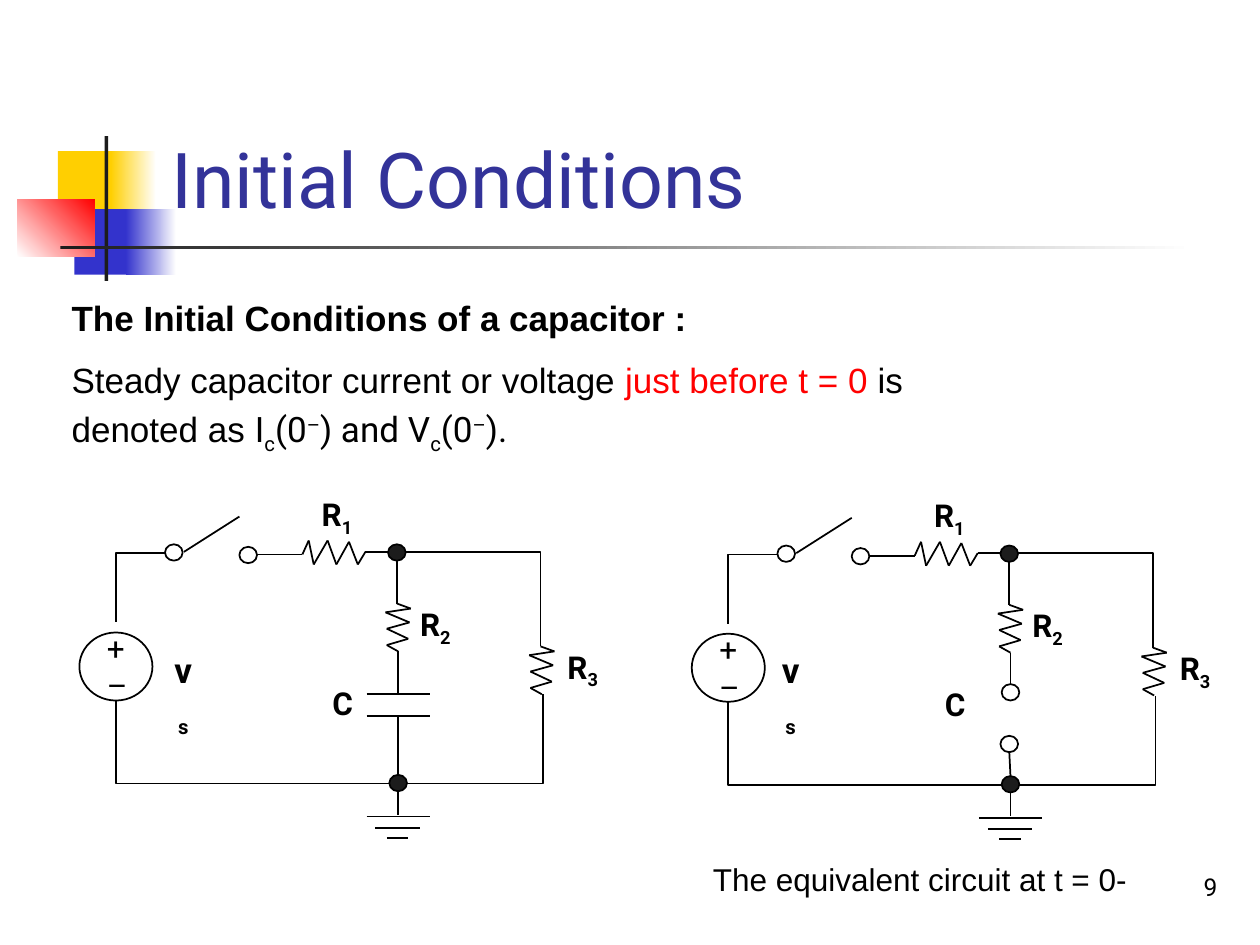
from dataclasses import dataclass
from itertools import pairwise
from typing import NamedTuple

from lxml.etree import SubElement
from pptx import Presentation
from pptx.dml.color import RGBColor
from pptx.enum.shapes import MSO_CONNECTOR as Connector, MSO_SHAPE as Preset
from pptx.enum.text import MSO_ANCHOR as Anchor, PP_ALIGN as Align
from pptx.oxml.ns import qn
from pptx.util import Inches, Pt


@dataclass(frozen=True)
class Theme:
    black: str = "000000"
    white: str = "FFFFFF"
    dark: str = "1C1C1C"
    red: str = "FF0000"
    blue: str = "3333CC"
    yellow: str = "FFCF01"
    title: str = "333399"
    sans: str = "Arial"
    label: str = "Roboto"
    title_size: int = 44
    body_size: int = 20
    label_size: int = 18
    number_size: int = 14
    line_width: int = 1


class Point(NamedTuple):
    x: float
    y: float


class Box(NamedTuple):
    left: float
    top: float
    width: float
    height: float


class Span(NamedTuple):
    text: str
    baseline: int = 0
    font: str | None = None
    color: str | None = None
    bold: bool | None = None


class Decoration(NamedTuple):
    box: Box
    start: str
    end: str | None = None
    angle: int = 0


@dataclass(frozen=True)
class Circuit:
    dx: float
    dy: float
    source_label_x: float
    open_capacitor: bool


THEME = Theme()
DOT = (0.14, 0.13)
DECORATIONS = [
    Decoration(Box(0.46, 1.2, 0.48, 0.52), THEME.yellow),
    Decoration(Box(0.88, 1.2, 0.36, 0.52), THEME.yellow, THEME.white),
    Decoration(Box(0.59, 1.66, 0.46, 0.52), THEME.blue),
    Decoration(Box(1, 1.66, 0.4, 0.52), THEME.blue, THEME.white),
    Decoration(Box(0.14, 1.58, 0.61, 0.46), THEME.white, THEME.red, 45),
    Decoration(Box(0.83, 1.08, 0.03, 1.15), THEME.dark),
    Decoration(Box(0.48, 1.95, 9, 0.03), THEME.dark, THEME.white),
]
ACROSS_ZIGZAG = [(2.4, 4.4), (2.45, 4.29), (2.49, 4.48), (2.6, 4.29),
                 (2.67, 4.48), (2.77, 4.3), (2.84, 4.48), (2.9, 4.38)]
DOWN_ZIGZAG = [(0, 0), (0.11, 0.04), (-0.09, 0.07), (0.1, 0.15),
               (-0.08, 0.2), (0.09, 0.28), (-0.08, 0.33), (0.01, 0.38)]
DOWN_RESISTORS = [Point(3.15, 4.79), Point(4.29, 5.13)]
ELBOWS = [((3.09, 6.22), (0.92, 5.56)), ((1.31, 4.39), (0.92, 4.94)),
          ((3.22, 4.38), (4.29, 5.13)), ((3.23, 6.22), (4.31, 5.51))]
LEADS = [((2.9, 4.38), (3.08, 4.38)), ((2.04, 4.4), (2.4, 4.4)),
         ((1.46, 4.38), (1.9, 4.1)), ((3.15, 4.45), (3.15, 4.79)),
         ((3.16, 6.22), (3.16, 6.47)), ((2.91, 6.48), (3.41, 6.48)),
         ((2.98, 6.57), (3.33, 6.57)), ((3.07, 6.65), (3.24, 6.65))]
PLATE_LEADS = [((3.16, 5.17), (3.16, 5.51)), ((2.91, 5.51), (3.41, 5.51)),
               ((2.91, 5.68), (3.41, 5.68)), ((3.16, 5.68), (3.16, 6.15))]
OPEN_LEADS = [((3.16, 5.17), (3.16, 5.42)), ((3.15, 5.95), (3.16, 6.15))]
NODES = [(3.08, 4.32), (3.09, 6.15)]
SWITCH_TERMINALS = [(1.31, 4.32), (1.9, 4.34)]
OPEN_TERMINALS = [(3.09, 5.42), (3.08, 5.83)]
RESISTOR_LABELS = [("1", Point(2.44, 3.88)), ("2", Point(3.22, 4.75)), ("3", Point(4.39, 5.09))]


def lengths(box: Box) -> list:
    return [Inches(value) for value in box]


def add_shape(slide, box: Box, *, preset=Preset.RECTANGLE, fill=None, end=None, angle=0, line=None):
    shape = slide.shapes.add_shape(preset, *lengths(box))
    shape.shadow.inherit = False
    if end:
        shape.fill.gradient()
        shape.fill.gradient_angle = angle
        for stop, color in zip(shape.fill.gradient_stops, (fill, end)):
            stop.color.rgb = RGBColor.from_string(color)
    elif fill:
        shape.fill.solid()
        shape.fill.fore_color.rgb = RGBColor.from_string(fill)
    else:
        shape.fill.background()
    if line:
        shape.line.color.rgb = RGBColor.from_string(line)
        shape.line.width = Pt(THEME.line_width)
    else:
        shape.line.fill.background()
    return shape


def add_text(slide, box: Box, paragraphs: list[list[Span]], *, size, font=THEME.label,
             color=THEME.black, bold=False, align=Align.LEFT, anchor=Anchor.TOP,
             wrap=True, spacing=None, gaps=()) -> None:
    frame = slide.shapes.add_textbox(*lengths(box)).text_frame
    frame.word_wrap = wrap
    frame.vertical_anchor = anchor
    for index, spans in enumerate(paragraphs):
        paragraph = frame.add_paragraph() if index else frame.paragraphs[0]
        paragraph.alignment = align
        if spacing:
            paragraph.line_spacing = spacing
        if index and gaps:
            paragraph.space_before = Pt(gaps[index - 1])
        for span in spans:
            run = paragraph.add_run()
            run.text = span.text
            run.font.name = span.font or font
            run.font.size = Pt(size)
            run.font.bold = bold if span.bold is None else span.bold
            run.font.color.rgb = RGBColor.from_string(span.color or color)
            if span.baseline:
                run.font._element.set("baseline", str(span.baseline * 1000))


def add_wire(slide, circuit: Circuit, start: tuple, end: tuple, *, elbow=False) -> None:
    ends = [Inches(value + shift) for point in (start, end)
            for value, shift in zip(point, (circuit.dx, circuit.dy))]
    wire = slide.shapes.add_connector(Connector.ELBOW if elbow else Connector.STRAIGHT, *ends)
    wire.line.color.rgb = RGBColor.from_string(THEME.black)
    wire.line.width = Pt(THEME.line_width)
    properties = wire._element.spPr
    if elbow:
        properties.find(qn("a:prstGeom")).set("prst", "bentConnector2")
    SubElement(properties, qn("a:effectLst"))


def add_circuit(slide, circuit: Circuit) -> None:
    def moved(left, top, width, height) -> Box:
        return Box(left + circuit.dx, top + circuit.dy, width, height)

    def add_label(box: Box, *paragraphs: list[Span], size=THEME.label_size, bold=True) -> None:
        add_text(slide, box, list(paragraphs), size=size, bold=bold, align=Align.CENTER, wrap=False)

    for start, end in ELBOWS:
        add_wire(slide, circuit, start, end, elbow=True)
    zigzags = [ACROSS_ZIGZAG] + [[(origin.x + x, origin.y + y) for x, y in DOWN_ZIGZAG]
                                 for origin in DOWN_RESISTORS]
    segments = [segment for zigzag in zigzags for segment in pairwise(zigzag)]
    for start, end in segments + LEADS + (OPEN_LEADS if circuit.open_capacitor else PLATE_LEADS):
        add_wire(slide, circuit, start, end)

    terminals = SWITCH_TERMINALS + (OPEN_TERMINALS if circuit.open_capacitor else [])
    for places, fill in ((NODES, THEME.dark), (terminals, THEME.white)):
        for place in places:
            add_shape(slide, moved(*place, *DOT), preset=Preset.OVAL, fill=fill, line=THEME.black)
    add_shape(slide, moved(0.63, 5.02, 0.58, 0.54), preset=Preset.OVAL, line=THEME.black)

    for number, place in RESISTOR_LABELS:
        add_label(moved(*place, 0.47, 0.4), [Span("R"), Span(number, -25)])
    add_label(moved(2.53, 5.38, 0.38, 0.4), [Span("C")])
    add_label(moved(0.75, 4.94, 0.34, 0.7), [Span("+")], [Span("–")], bold=False)
    add_label(Box(circuit.source_label_x, 5.1, 0.41, 0.76), [Span("v")], [Span("s", -25)],
              size=THEME.body_size)


def main() -> None:
    presentation = Presentation()
    presentation.slide_width, presentation.slide_height = Inches(10), Inches(7.5)
    slide = presentation.slides.add_slide(presentation.slide_layouts[6])

    for item in DECORATIONS:
        add_shape(slide, item.box, fill=item.start, end=item.end, angle=item.angle)
    add_text(slide, Box(1.26, 0.23, 8.52, 1.6), [[Span("Initial Conditions")]],
             size=THEME.title_size, color=THEME.title, anchor=Anchor.BOTTOM)

    label = THEME.label
    add_text(slide, Box(0.47, 2.34, 8.73, 1.41), [
        [Span("The Initial Conditions of a capacitor :", bold=True)],
        [Span("Steady capacitor current or voltage "),
         Span("just before t = 0 ", color=THEME.red), Span("is")],
        [Span("denoted as "), Span("I", font=label), Span("c", -25, label), Span("(0", font=label),
         Span("–", 30, label), Span(") and V", font=label), Span("c", -25, label),
         Span("(0", font=label), Span("–", 30, label), Span(").", font=label)],
    ], size=THEME.body_size, font=THEME.sans, spacing=0.9, gaps=(14, 4))

    add_circuit(slide, Circuit(0, 0, 1.25, False))
    add_circuit(slide, Circuit(4.86, 0.01, 6.07, True))
    add_text(slide, Box(7.68, 6.7, 2.08, 0.5), [[Span("9")]], size=THEME.number_size,
             align=Align.RIGHT, anchor=Anchor.BOTTOM)
    add_text(slide, Box(5.56, 6.78, 3.94, 0.4), [[Span("The equivalent circuit at t = 0-")]],
             size=THEME.label_size, font=THEME.sans)
    presentation.save("out.pptx")


if __name__ == "__main__":
    main()
